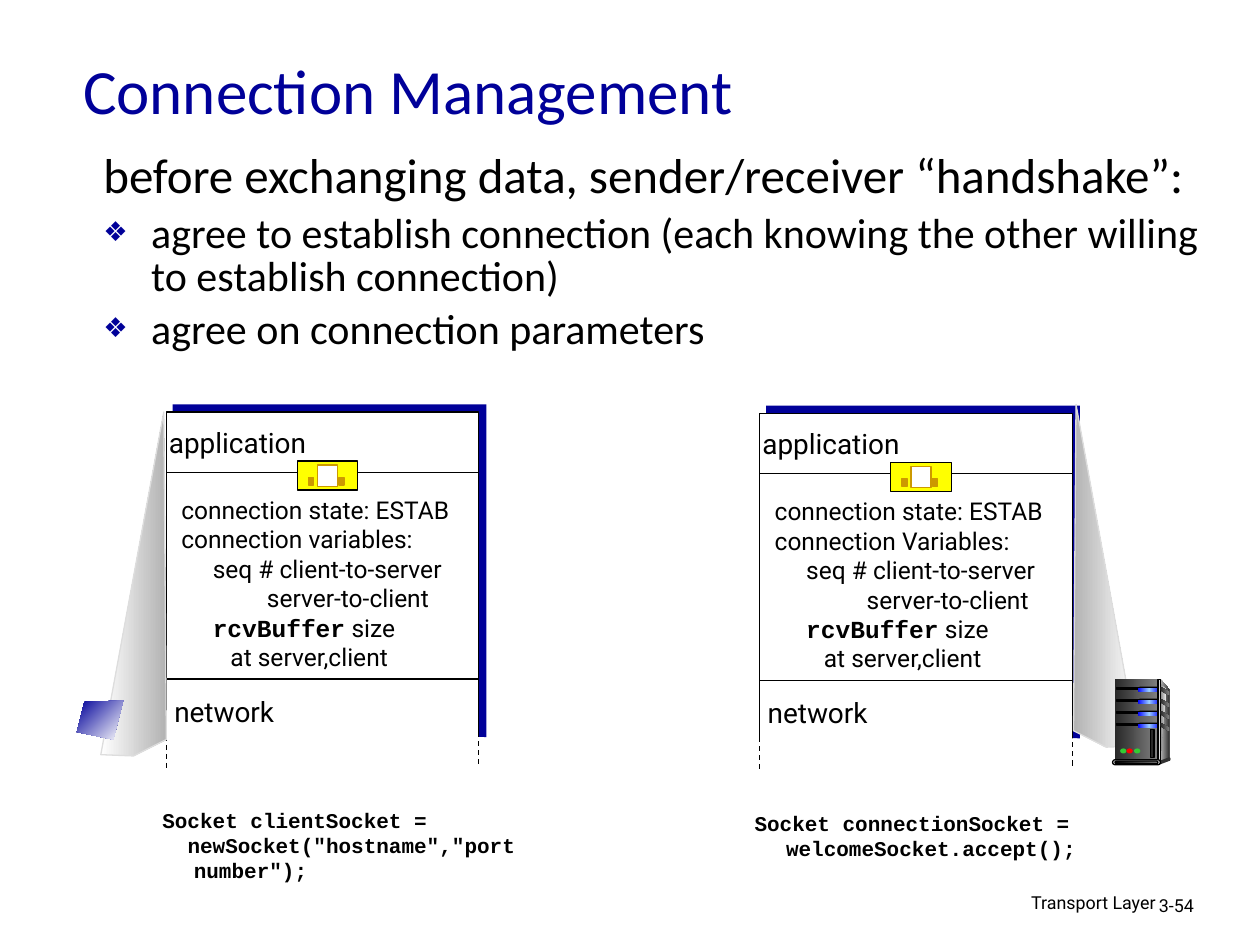
"""Build the Connection Management slide with two hosts and their shared state."""
from dataclasses import dataclass
from typing import Any, Sequence

from lxml import etree
from pptx import Presentation
from pptx import util as u
from pptx.dml.color import RGBColor
from pptx.enum import dml, shapes, text
from pptx.oxml import ns

NAVY, BLACK, WHITE, OCHRE = "000099", "000000", "FFFFFF", "CC9900"
BLUE_GLOW = ("0000FF", "99CCFF", "0000FF")
DARK_METAL = ("292929", "808080")
RECTANGLE = shapes.MSO_SHAPE.RECTANGLE
ROUNDED = shapes.MSO_SHAPE.ROUNDED_RECTANGLE
OVAL = shapes.MSO_SHAPE.OVAL
Point = tuple[float, float]


@dataclass
class Line:
    words: str
    size: float
    font: str = "Roboto"
    color: str = BLACK
    code: str = ""
    bold: bool = False
    margin: float = 0
    indent: float = 0
    align: Any = text.PP_ALIGN.LEFT
    spacing: float = 1.0
    before: float = 0
    bullet: str = ""


@dataclass
class Host:
    left: float
    top: float
    variables: str
    reverse_indent: float
    beam: Sequence[Point]
    beam_colors: Sequence[str]


def rgb(value: str) -> RGBColor:
    return RGBColor.from_string(value)


def paint(shape: Any, colors: Sequence[str], outline: str = "", angle: float = 0) -> None:
    shape.shadow.inherit = False
    if len(colors) == 1:
        shape.fill.solid()
        shape.fill.fore_color.rgb = rgb(colors[0])
    else:
        shape.fill.gradient()
        shape.fill.gradient_angle = angle
        stops = shape._element.spPr.find(".//" + ns.qn("a:gsLst"))
        for stop in list(stops):
            stops.remove(stop)
        for index, color in enumerate(colors):
            position = str(100000 * index // (len(colors) - 1))
            stop = etree.SubElement(stops, ns.qn("a:gs"), pos=position)
            etree.SubElement(stop, ns.qn("a:srgbClr"), val=color)
    if outline:
        shape.line.color.rgb = rgb(outline)
        shape.line.width = u.Pt(0.75)
    else:
        shape.line.fill.background()


def add_block(parent: Any, kind: Any, left: float, top: float, width: float, height: float,
              colors: Sequence[str], outline: str = "") -> None:
    shape = parent.add_shape(kind, *map(u.Inches, (left, top, width, height)))
    if kind == ROUNDED:
        shape.adjustments[0] = 0.5
    paint(shape, colors, outline)


def add_polygon(parent: Any, points: Sequence[Point], colors: Sequence[str],
                outline: str = "", angle: float = 0) -> None:
    corners = [(u.Inches(x), u.Inches(y)) for x, y in points]
    builder = parent.build_freeform(*corners[0])
    builder.add_line_segments(corners[1:])
    paint(builder.convert_to_shape(), colors, outline, angle)


def add_line(parent: Any, start: Point, end: Point, dashed: bool = False) -> None:
    connector = parent.add_connector(shapes.MSO_CONNECTOR.STRAIGHT, *map(u.Inches, (*start, *end)))
    connector.line.color.rgb = rgb(BLACK)
    connector.line.width = u.Pt(0.75)
    if dashed:
        connector.line.dash_style = dml.MSO_LINE.DASH
    etree.SubElement(connector._element.spPr, ns.qn("a:effectLst"))


def style_run(run: Any, line: Line, font: str, bold: bool) -> None:
    run.font.size = u.Pt(line.size)
    run.font.name = font
    run.font.bold = bold
    run.font.color.rgb = rgb(line.color)


def write_lines(shape: Any, lines: Sequence[Line]) -> None:
    frame = shape.text_frame
    frame.text = "\n".join(line.words for line in lines)
    for paragraph, line in zip(frame.paragraphs, lines):
        paragraph.alignment = line.align
        paragraph.line_spacing = line.spacing
        paragraph.space_before = u.Pt(line.before)
        properties = paragraph._p.get_or_add_pPr()
        properties.set("marL", str(u.Inches(line.margin)))
        properties.set("indent", str(u.Inches(line.indent)))
        if line.bullet:
            color = etree.SubElement(properties, ns.qn("a:buClr"))
            etree.SubElement(color, ns.qn("a:srgbClr"), val=NAVY)
            etree.SubElement(properties, ns.qn("a:buSzPct"), val="65000")
            etree.SubElement(properties, ns.qn("a:buChar"), char=line.bullet)
        else:
            etree.SubElement(properties, ns.qn("a:buNone"))
        if line.code:
            paragraph.runs[0].text = line.code
            paragraph.add_run().text = line.words.removeprefix(line.code)
            style_run(paragraph.runs[0], line, "Courier New", True)
        style_run(paragraph.runs[-1], line, line.font, line.bold)


def add_text(parent: Any, left: float, top: float, width: float, height: float,
             lines: Sequence[Line], wrap: bool = True) -> None:
    box = parent.add_textbox(*map(u.Inches, (left, top, width, height)))
    box.text_frame.word_wrap = wrap
    write_lines(box, lines)


def fill_placeholder(shape: Any, left: float, top: float, width: float, height: float,
                     anchor: Any, lines: Sequence[Line]) -> None:
    shape.left, shape.top, shape.width, shape.height = map(u.Inches, (left, top, width, height))
    shape.text_frame.auto_size = text.MSO_AUTO_SIZE.NONE
    shape.text_frame.vertical_anchor = anchor
    write_lines(shape, lines)


def draw_host(parent: Any, host: Host) -> None:
    x, y = host.left, host.top
    center = text.PP_ALIGN.CENTER
    add_block(parent, RECTANGLE, x + 0.05, y - 0.06, 2.49, 2.64, [NAVY])
    add_block(parent, RECTANGLE, x, y, 2.48, 2.7, [WHITE], BLACK)
    for offset in (0.48, 2.12):
        add_line(parent, (x, y + offset), (x + 2.48, y + offset))
    add_text(parent, x + 0.02, y + 0.61, 2.55, 1.74, [
        Line("connection state: ESTAB", 14),
        Line(host.variables, 14),
        Line("seq # client-to-server", 14, margin=0.25),
        Line("server-to-client", 14, margin=host.reverse_indent),
        Line("rcvBuffer size", 14, code="rcvBuffer", margin=0.25),
        Line("at server,client", 14, margin=0.39)])
    socket = parent.add_group_shape().shapes
    add_block(socket, RECTANGLE, x + 1.04, y + 0.39, 0.48, 0.23, ["FFFF00"], BLACK)
    add_block(socket, RECTANGLE, x + 1.2, y + 0.42, 0.16, 0.17, [WHITE], OCHRE)
    for offset in (1.13, 1.37):
        add_block(socket, RECTANGLE, x + offset, y + 0.52, 0.04, 0.06, [OCHRE], OCHRE)
    add_text(parent, x - 0.11, y + 0.06, 1.35, 0.37, [Line("application", 16, align=center)], False)
    add_text(parent, x - 0.07, y + 2.19, 1.06, 0.37, [Line("network", 16, align=center)], False)
    add_block(parent, RECTANGLE, x - 0.03, y + 2.58, 2.55, 0.2, [WHITE])
    for across, down in ((0, 2.57), (2.48, 2.54)):
        add_line(parent, (x + across, y + down), (x + across, y + down + 0.26), True)
    add_polygon(parent, host.beam, host.beam_colors, "DDDDDD")


def draw_server(parent: Any) -> None:
    server = parent.add_group_shape().shapes
    add_polygon(server, [(9.21, 5.39), (9.28, 5.47), (9.28, 6.01), (9.19, 6.04)], ("DDDDDD", "333333"))
    add_block(server, RECTANGLE, 8.85, 5.39, 0.34, 0.65, DARK_METAL)
    add_polygon(server, [(9.21, 5.43), (9.26, 5.48), (9.23, 5.75), (9.21, 6.02)], ("808080", "F8F8F8"))
    bay_tops = [5.45 + 0.095 * bay for bay in range(4)]
    for top in bay_tops:
        add_block(server, RECTANGLE, 8.86, top + 0.01, 0.19, 0.01, [BLACK], BLACK)
        add_block(server, ROUNDED, 9.03, top, 0.19, 0.04, [BLACK])
        add_block(server, ROUNDED, 9.03, top + 0.01, 0.18, 0.03, BLUE_GLOW)
    add_block(server, RECTANGLE, 9.19, 5.39, 0.02, 0.65, ("333333", "DDDDDD", "333333"), BLACK)
    for top in bay_tops:
        add_polygon(server, [(9.21, top), (9.28, top + 0.04), (9.28, top + 0.07), (9.21, top + 0.03)],
                    DARK_METAL)
    add_block(server, OVAL, 9.27, 6.01, 0.02, 0.03, ["333333"])
    add_polygon(server, [(9.2, 6.04), (9.2, 6.07), (9.28, 6.04), (9.28, 6.01)], ["333333"])
    add_block(server, ROUNDED, 8.83, 6.03, 0.38, 0.04, ["DDDDDD"], BLACK)
    add_block(server, ROUNDED, 8.85, 6.04, 0.34, 0.02, (BLACK, "808080"), BLACK)
    for left, color in ((8.89, "33CC33"), (8.94, "FF0000"), (9, "33CC33")):
        add_block(server, OVAL, left, 5.94, 0.05, 0.04, [color])
    add_block(server, RECTANGLE, 9.13, 5.79, 0.03, 0.22, ["292929"], BLACK)


def main() -> None:
    presentation = Presentation()
    presentation.slide_width, presentation.slide_height = u.Inches(10), u.Inches(7.5)
    slide = presentation.slides.add_slide(presentation.slide_layouts[1])
    canvas = slide.shapes
    fill_placeholder(canvas.title, 0.56, 0.21, 8.5, 1, text.MSO_ANCHOR.MIDDLE,
                     [Line("Connection Management", 36, "Calibri", NAVY)])
    hanging = dict(font="Calibri", margin=0.38, indent=-0.38, spacing=0.85)
    fill_placeholder(slide.placeholders[1], 0.72, 1.17, 9.12, 2.39, text.MSO_ANCHOR.TOP, [
        Line("before exchanging data, sender/receiver “handshake”:", 28, before=7, **hanging),
        Line("agree to establish connection (each knowing the other willing to establish connection)",
             24, before=6, bullet="❖", **hanging),
        Line("agree on connection parameters", 24, before=6, bullet="❖", **hanging)])
    draw_host(canvas, Host(1.32, 3.27, "connection variables:", 0.68,
                           [(0.8, 5.99), (1.3, 3.27), (1.32, 5.87), (1.06, 6)], (WHITE, "B2B2B2")))
    draw_host(canvas, Host(6.03, 3.28, "connection Variables:", 0.73,
                           [(9.03, 5.92), (8.54, 3.21), (8.52, 5.8), (8.78, 5.93)], ("B2B2B2", WHITE)))
    code = dict(size=12, font="Courier New", bold=True, margin=0.25)
    add_text(canvas, 1.19, 6.36, 3.16, 0.7, [
        Line("Socket clientSocket =", indent=-0.25, **code),
        Line('newSocket("hostname","port number");', indent=-0.05, **code)])
    add_text(canvas, 5.89, 6.38, 3.16, 0.5, [
        Line("Socket connectionSocket = welcomeSocket.accept();", indent=-0.25, **code)])
    add_polygon(canvas, [(0.98, 5.56), (0.67, 5.57), (0.61, 5.81), (0.9, 5.87)], (NAVY, WHITE), angle=315)
    draw_server(canvas)
    add_text(canvas, 6.1, 7.05, 3.17, 0.31,
             [Line("Transport Layer", 10.2, align=text.PP_ALIGN.RIGHT, spacing=0.9)])
    add_text(canvas, 9.1, 7.07, 0.74, 0.3, [Line("3-54", 10.2, spacing=0.9)])
    presentation.save("out.pptx")


if __name__ == "__main__":
    main()
